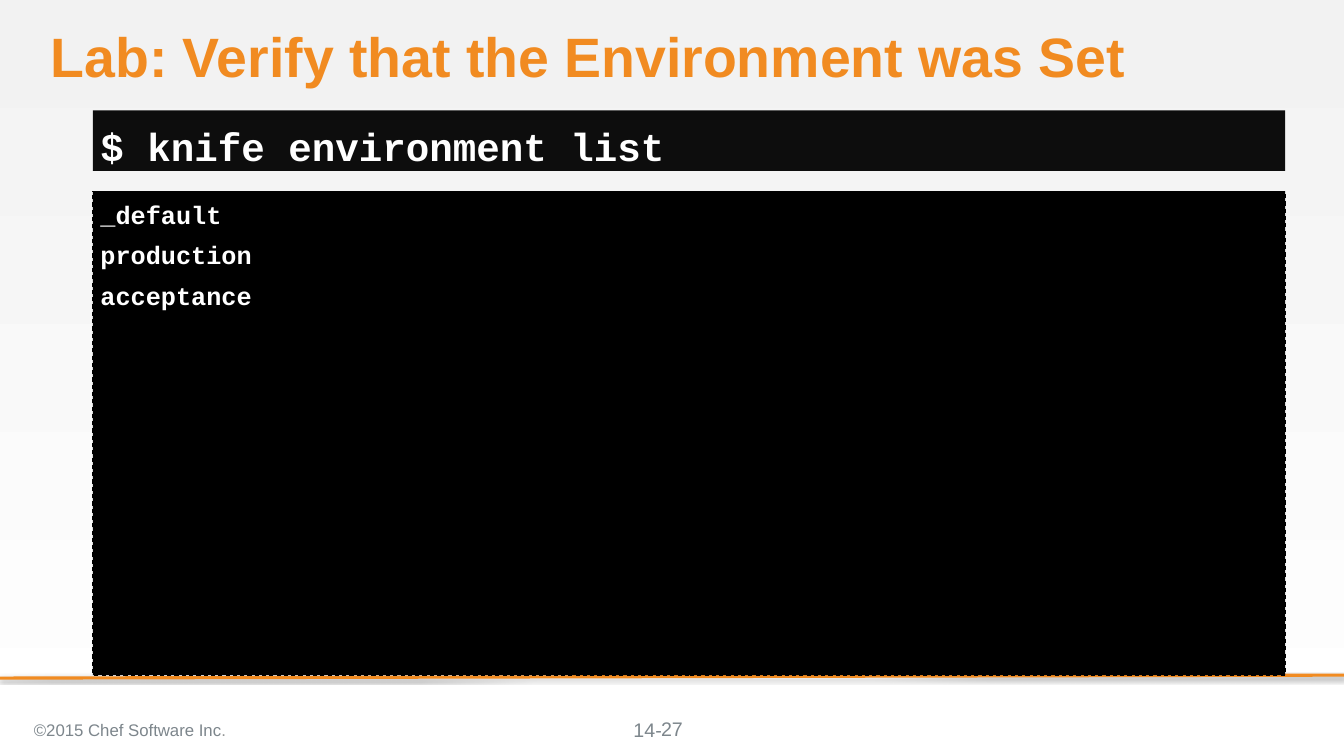
from lxml.etree import SubElement
from pptx import Presentation
from pptx.dml.color import RGBColor
from pptx.enum.dml import MSO_LINE
from pptx.enum.shapes import MSO_CONNECTOR, MSO_SHAPE
from pptx.enum.text import MSO_ANCHOR, PP_ALIGN
from pptx.oxml.ns import qn
from pptx.util import Inches, Pt

WIDE, HIGH = 17.78, 10
SANS, MONO = "Arial", "Courier New"
HUES = {
    "orange": "F18B21", "black": "000000", "coal": "0D0D0D",
    "white": "FFFFFF", "mist": "F2F2F2", "gray": "7D868C", "ash": "929494",
}


def hue(name):
    return RGBColor.from_string(HUES[name])


class Deck:
    """Holds the style and the current slide; lengths are percent of its size."""

    def __init__(self):
        self.prs = Presentation()
        self.prs.slide_width, self.prs.slide_height = Inches(WIDE), Inches(HIGH)
        self.slide = self.prs.slides.add_slide(self.prs.slide_layouts[6])

    def place(self, left, top, width, height):
        return [Inches(share * size / 100) for share, size in
                zip((left, top, width, height), (WIDE, HIGH) * 2)]

    def fade(self, first, last):
        fill = self.slide.background.fill
        fill.gradient()
        fill.gradient_angle = 270
        for stop, name, spot in zip(fill.gradient_stops, (first, last), (0, 1)):
            stop.color.rgb, stop.position = hue(name), spot

    def label(self, shape, lines, size, font=SANS, bold=False, align=PP_ALIGN.LEFT,
              anchor=MSO_ANCHOR.MIDDLE, inset=(0.1, 0.05, 0.1, 0.05), gap=0, lead=None):
        """Each line is a list of (text, colour) runs."""
        frame = shape.text_frame
        frame.word_wrap, frame.vertical_anchor = True, anchor
        (frame.margin_left, frame.margin_top,
         frame.margin_right, frame.margin_bottom) = map(Inches, inset)
        for i, runs in enumerate(lines):
            para = frame.add_paragraph() if i else frame.paragraphs[0]
            para.alignment = align
            if i:
                para.space_before = Pt(gap)
            if lead:
                para.line_spacing = lead
            for text, name in runs:
                run = para.add_run()
                run.text = text
                run.font.name, run.font.size, run.font.bold = font, Pt(size), bold
                run.font.color.rgb = hue(name)

    def text(self, box, lines, size, **style):
        self.label(self.slide.shapes.add_textbox(*self.place(*box)), lines, size, **style)

    def panel(self, box, fill, lines, size, dashed=False, **style):
        shape = self.slide.shapes.add_shape(MSO_SHAPE.RECTANGLE, *self.place(*box))
        shape.shadow.inherit = False
        shape.fill.solid()
        shape.fill.fore_color.rgb = hue(fill)
        if dashed:
            shape.line.color.rgb = hue(fill)
            shape.line.width, shape.line.dash_style = Pt(1), MSO_LINE.DASH
        else:
            shape.line.fill.background()
        self.label(shape, lines, size, font=MONO, bold=True, **style)

    def rule(self, ends, name, width):
        """Draw a line with a soft shadow below it."""
        line = self.slide.shapes.add_connector(MSO_CONNECTOR.STRAIGHT, *self.place(*ends))
        line.line.color.rgb, line.line.width = hue(name), Pt(width)
        effects = SubElement(line._element.spPr, qn("a:effectLst"))
        shade = SubElement(effects, qn("a:outerShdw"), blurRad=str(Pt(3.1)),
                           dist=str(Pt(1.8)), dir="5400000", rotWithShape="0")
        color = SubElement(shade, qn("a:srgbClr"), val=HUES["black"])
        SubElement(color, qn("a:alpha"), val="35000")


def main():
    deck = Deck()
    left, width = 6.92, 88.7
    deck.fade("mist", "white")
    deck.rule((100, 89.3, 0, 89.7), "orange", 3)
    output = [[(word, "white")] for word in ("_default", "production", "acceptance")]
    deck.panel((left, 25.3, width, 64), "black", output, 24, dashed=True,
               anchor=MSO_ANCHOR.TOP, inset=(0.1, 0.11, 0.1, 0.05), gap=9.5)
    deck.text((3.77, 3.3, 91.84, 9.1),
              [[("Lab: Verify that the Environment was Set", "orange")]], 52.8,
              bold=True, inset=(0, 0, 0, 0), lead=0.9)
    deck.panel((left, 14.6, width, 8), "coal",
               [[("$ knife environment list", "white")]], 37.3, inset=(0.1, 0.15, 0, 0))
    deck.text((1.97, 93.8, 34.93, 5.6),
              [[("©2015 Chef Software Inc", "gray"), (".", "ash")]], 16)
    deck.text((46.91, 94.9, 4.5, 3.1), [[("14-", "gray")]], 18.7,
              anchor=MSO_ANCHOR.TOP, inset=(0.04, 0, 0, 0))
    deck.text((38.75, 93.8, 22.5, 5.3), [[("27", "gray")]], 18.7, align=PP_ALIGN.CENTER)
    deck.prs.save("out.pptx")


if __name__ == "__main__":
    main()
